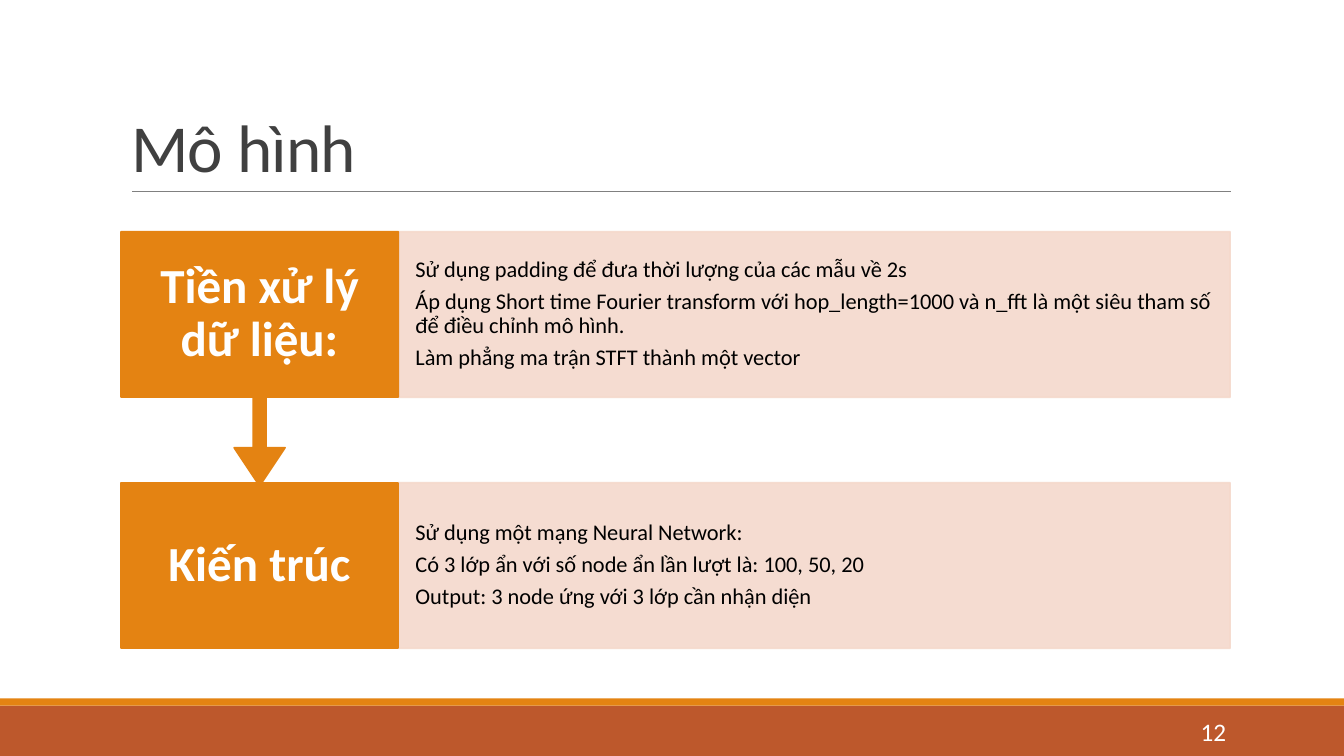
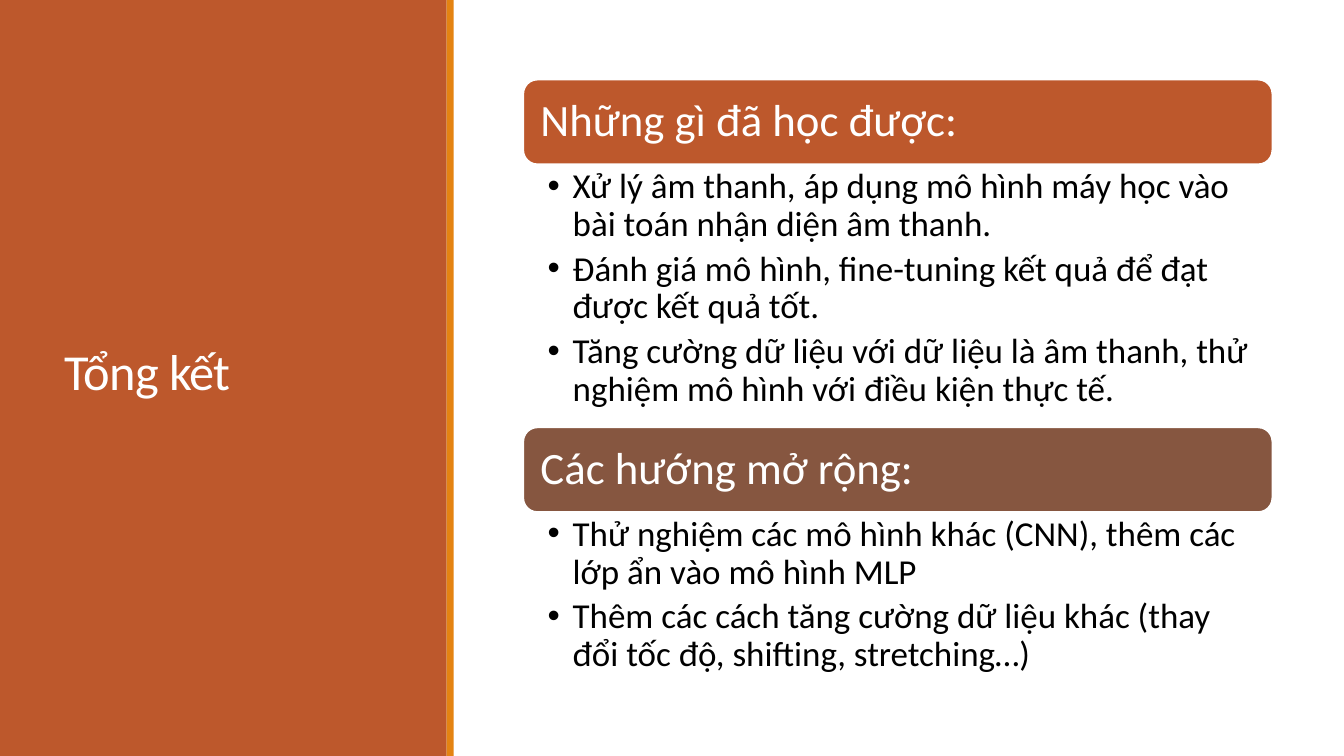
"""Build the model and summary slides of a sound recognition deck."""
from lxml import etree
from pptx import Presentation
from pptx.dml.color import RGBColor
from pptx.enum.shapes import MSO_CONNECTOR, MSO_SHAPE
from pptx.enum.text import MSO_ANCHOR, MSO_AUTO_SIZE, PP_ALIGN
from pptx.oxml.ns import qn
from pptx.util import Inches, Pt

RECT, ROUND = MSO_SHAPE.RECTANGLE, MSO_SHAPE.ROUNDED_RECTANGLE
CALLOUT = MSO_SHAPE.DOWN_ARROW_CALLOUT
LEFT, CENTER, RIGHT = PP_ALIGN.LEFT, PP_ALIGN.CENTER, PP_ALIGN.RIGHT
TOP, MIDDLE, BOTTOM = MSO_ANCHOR.TOP, MSO_ANCHOR.MIDDLE, MSO_ANCHOR.BOTTOM

THEME = {
    "font": "Calibri",
    "rust": "BD582C", "orange": "E48312", "brown": "865640", "pink": "F5D9CC",
    "white": "FFFFFF", "black": "000000", "dark": "404040", "gray": "808080",
    "title": 48, "side_title": 36, "label": 35, "heading": 32,
    "bullet": 25, "detail": 16, "number": 18,
}
W, H = 13.33, 7.5
STRIP = 0.07

MODEL = {
    "title": "Mô hình",
    "number": "12",
    "steps": [
        ("Tiền xử lý dữ liệu:", [
            "Sử dụng padding để đưa thời lượng của các mẫu về 2s",
            "Áp dụng Short time Fourier transform với hop_length=1000 và n_fft "
            "là một siêu tham số để điều chỉnh mô hình.",
            "Làm phẳng ma trận STFT thành một vector",
        ]),
        ("Kiến trúc", [
            "Sử dụng một mạng Neural Network:",
            "Có 3 lớp ẩn với số node ẩn lần lượt là: 100, 50, 20",
            "Output: 3 node ứng với 3 lớp cần nhận diện",
        ]),
    ],
}
SUMMARY = {
    "title": "Tổng kết",
    "sections": [
        ("Những gì đã học được:", "rust", 2.61, [
            "Xử lý âm thanh, áp dụng mô hình máy học vào bài toán nhận diện âm thanh.",
            "Đánh giá mô hình, fine-tuning kết quả để đạt được kết quả tốt.",
            "Tăng cường dữ liệu với dữ liệu là âm thanh, thử nghiệm mô hình "
            "với điều kiện thực tế.",
        ]),
        ("Các hướng mở rộng:", "brown", 1.7, [
            "Thử nghiệm các mô hình khác (CNN), thêm các lớp ẩn vào mô hình MLP",
            "Thêm các cách tăng cường dữ liệu khác (thay đổi tốc độ, shifting, "
            "stretching…)",
        ]),
    ],
}


def color(name):
    return RGBColor.from_string(THEME[name])


def place(shape, box):
    for name, value in zip(("left", "top", "width", "height"), box):
        setattr(shape, name, Inches(value))


def paint(shape, fill, line=None, alpha=None):
    shape.fill.solid()
    shape.fill.fore_color.rgb = color(fill)
    if line:
        shape.line.color.rgb = color(line)
        shape.line.width = Pt(1.25)
    else:
        shape.line.fill.background()
    if alpha:
        for clr in shape.element.spPr.iter(qn("a:srgbClr")):
            etree.SubElement(clr, qn("a:alpha"), val=str(alpha * 1000))


def add_box(s, kind, box, fill, line=None):
    shape = s.shapes.add_shape(kind, *map(Inches, box))
    shape.shadow.inherit = False
    paint(shape, fill, line)
    return shape


def send_back(shape):
    shape.element.getparent().insert(2, shape.element)


def write(shape, lines, size, ink, anchor=MIDDLE, align=LEFT, insets=(0.1, 0.05),
          spacing=0.9, after=0.0, bold=False, bullet=False, tracking=0):
    tf = shape.text_frame
    side, edge = map(Inches, insets)
    frame = {"word_wrap": True, "auto_size": MSO_AUTO_SIZE.NONE,
             "vertical_anchor": anchor, "margin_left": side, "margin_right": side,
             "margin_top": edge, "margin_bottom": edge}
    for name, value in frame.items():
        setattr(tf, name, value)
    layout = {"alignment": align, "line_spacing": spacing,
              "space_before": Pt(0), "space_after": Pt(THEME[size] * after)}
    face = {"name": THEME["font"], "size": Pt(THEME[size]), "bold": bold}
    hang = Inches(0.25) if bullet else 0
    for i, text in enumerate(lines):
        p = tf.add_paragraph() if i else tf.paragraphs[0]
        for name, value in layout.items():
            setattr(p, name, value)
        pPr = p._p.get_or_add_pPr()
        pPr.set("marL", str(hang))
        pPr.set("indent", str(-hang))
        if bullet:
            etree.SubElement(pPr, qn("a:buChar"), char="•")
        else:
            etree.SubElement(pPr, qn("a:buNone"))
        r = p.add_run()
        r.text = text
        for name, value in face.items():
            setattr(r.font, name, value)
        r.font.color.rgb = color(ink)
        if tracking:
            r._r.get_or_add_rPr().set("spc", str(tracking))


def new_slide(prs, title, box, size, ink, anchor):
    s = prs.slides.add_slide(prs.slide_layouts[3])
    place(s.shapes.title, box)
    write(s.shapes.title, [title], size, ink, anchor, spacing=0.85, tracking=-50)
    bodies = [ph for ph in s.placeholders if ph.placeholder_format.idx]
    return s, bodies


def add_footer(s, number):
    add_box(s, RECT, (0, 7, W, H - 7), "rust")
    add_box(s, RECT, (0, 7 - STRIP, W, STRIP), "orange")
    tb = s.shapes.add_textbox(*map(Inches, (10.83, 7.06, 1.43, 0.4)))
    write(tb, [number], "number", "white", align=RIGHT, spacing=1.0)


def add_rule(s, left, right, y):
    rule = s.shapes.add_connector(MSO_CONNECTOR.STRAIGHT,
                                  *map(Inches, (left, y, right, y)))
    rule.line.color.rgb = color("gray")
    rule.line.width = Pt(0.5)
    etree.SubElement(rule.element.spPr, qn("a:effectLst"))


def model_slide(prs):
    left, width, top, row, pitch = 1.2, 11, 2.3, 1.64, 2.49
    label = width / 4
    s, bodies = new_slide(prs, MODEL["title"], (left, 0.31, width, 1.59),
                          "title", "dark", BOTTOM)
    add_footer(s, MODEL["number"])
    add_rule(s, 1.31, 12.21, 1.9)
    last = len(MODEL["steps"]) - 1
    for i, (body, (name, details)) in enumerate(zip(bodies, MODEL["steps"])):
        y = top + i * pitch
        kind, height = (CALLOUT, 2.52) if i < last else (RECT, row)
        step = add_box(s, kind, (left, y, label, height), "orange", "orange")
        if i < last:
            for k, value in enumerate((0.05, 0.1, 0.15, 0.65)):
                step.adjustments[k] = value
        write(step, [name], "label", "white", align=CENTER, insets=(0.2, 0.27),
              bold=True)
        place(body, (left + label, y, width - label, row))
        paint(body, "pink", "pink", alpha=90)
        write(body, details, "detail", "black", insets=(0.17, 0.22), after=0.35)


def summary_slide(prs):
    side, left, width, head, y = 4.43, 5.19, 7.43, 0.84, 0.79
    s, bodies = new_slide(prs, SUMMARY["title"], (0.54, 0.57, 3.37, 6.31),
                          "side_title", "white", MIDDLE)
    send_back(add_box(s, RECT, (side, 0, STRIP, H), "orange"))
    send_back(add_box(s, RECT, (0, 0, side, H), "rust"))
    for body, (name, fill, height, points) in zip(bodies, SUMMARY["sections"]):
        heading = add_box(s, ROUND, (left, y, width, head), fill, "white")
        write(heading, [name], "heading", "white", insets=(0.13, 0.05))
        place(body, (left, y + head, width, height))
        write(body, points, "bullet", "black", TOP, insets=(0.24, 0.04),
              after=0.2, bullet=True)
        y += head + height


def main():
    prs = Presentation()
    prs.slide_width, prs.slide_height = Inches(W), Inches(H)
    model_slide(prs)
    summary_slide(prs)
    prs.save("out.pptx")


if __name__ == "__main__":
    main()
